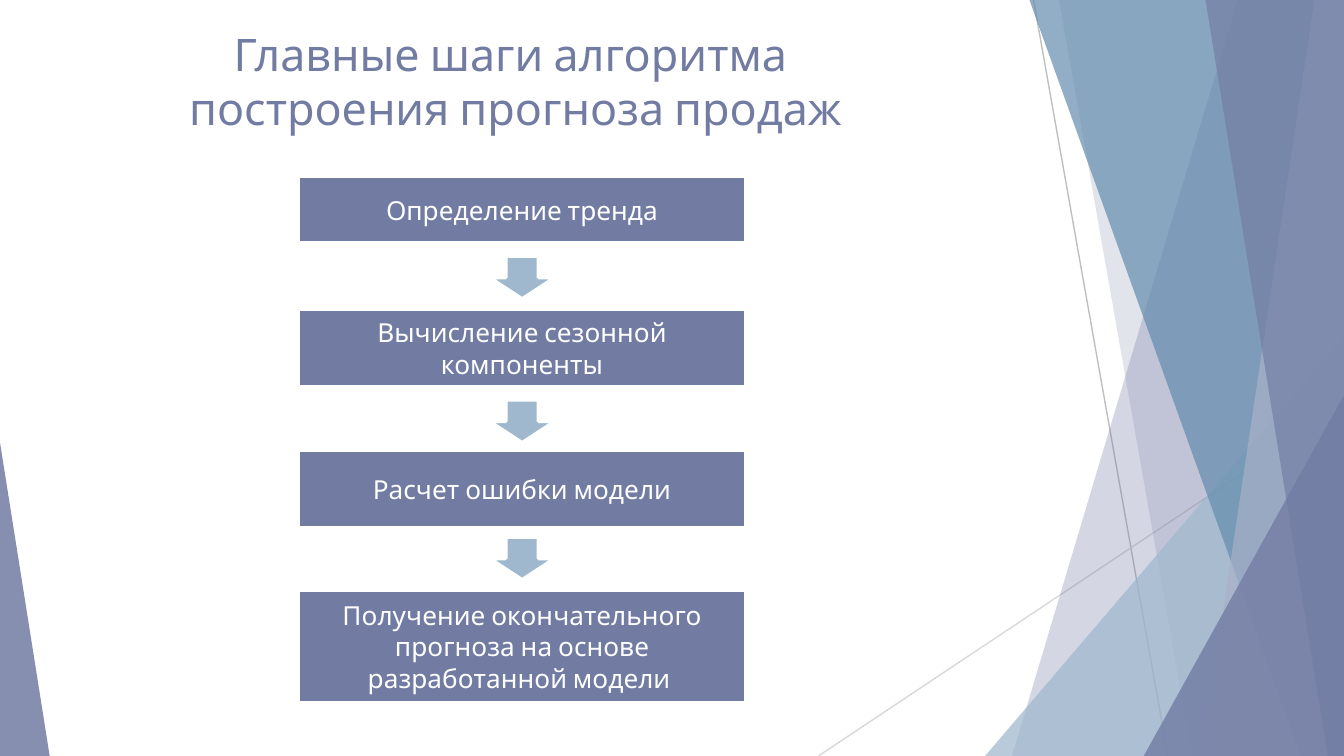
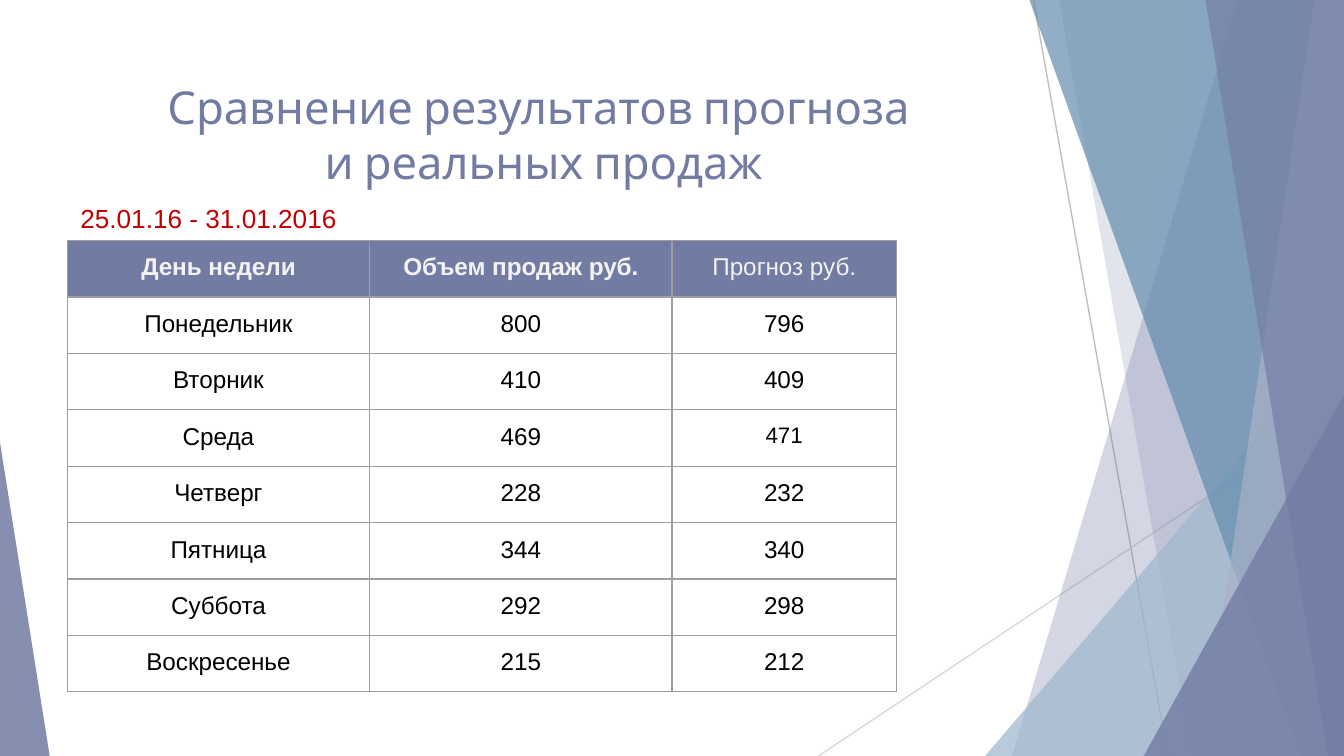
from lxml.etree import SubElement
from pptx import Presentation
from pptx.dml.color import RGBColor
from pptx.enum.shapes import MSO_CONNECTOR, MSO_SHAPE
from pptx.enum.text import MSO_ANCHOR, MSO_AUTO_SIZE, PP_ALIGN
from pptx.oxml import parse_xml
from pptx.oxml.ns import nsdecls, qn
from pptx.util import Pt

PX = 4572  # EMU in one px, 200 px to the inch
WIDTH, HEIGHT = 2000, 1125

INDIGO = "727CA3"
LIGHT_BLUE = "9FB8CD"
STEEL = "638CAE"
LAVENDER = "AAB0C8"
WHITE = "FFFFFF"
BLACK = "000000"
PALE = "F2F2F2"
RED = "C00000"
BORDER = "9E9E9E"

HEADING_FONT = "Cabin"
BODY_FONT = "Arial"


def rgb(color):
    return RGBColor.from_string(color)


def emu(*lengths):
    return [length * PX for length in lengths]


class Deck:
    """Holds the presentation, its style and the slide being drawn."""

    def __init__(self):
        self.presentation = Presentation()
        self.presentation.slide_width = WIDTH * PX
        self.presentation.slide_height = HEIGHT * PX
        self.slide = None

    def add_slide(self):
        layout = self.presentation.slide_layouts.get_by_name("Title Only")
        self.slide = self.presentation.slides.add_slide(layout)

    def set_text(self, frame, text, size, color, font=HEADING_FONT,
                 align=PP_ALIGN.CENTER, bold=False):
        frame.text = text
        frame.word_wrap = True
        for paragraph in frame.paragraphs:
            paragraph.alignment = align
            for run in paragraph.runs:
                run.font.name = font
                run.font.size = Pt(size)
                run.font.bold = bold
                run.font.color.rgb = rgb(color)

    def title(self, text, left, top, width, height, size=24, inset=10):
        shape = self.slide.shapes.title
        shape.left, shape.top, shape.width, shape.height = emu(left, top, width, height)
        frame = shape.text_frame
        frame.auto_size = MSO_AUTO_SIZE.NONE
        frame.vertical_anchor = MSO_ANCHOR.TOP
        frame.margin_top = frame.margin_bottom = inset * PX
        frame.margin_left = frame.margin_right = 20 * PX
        self.set_text(frame, text, size, INDIGO)

    def text(self, text, left, top, width, height, size, color):
        shape = self.slide.shapes.add_textbox(*emu(left, top, width, height))
        self.set_text(shape.text_frame, text, size, color, BODY_FONT, PP_ALIGN.LEFT)

    def paint(self, shape, color, opacity=100, outline=None):
        """Fill a shape, with an optional 2 pt outline."""
        shape.shadow.inherit = False
        shape.fill.solid()
        shape.fill.fore_color.rgb = rgb(color)
        if opacity < 100:
            fill_color = shape.element.spPr.find(qn("a:solidFill"))[0]
            SubElement(fill_color, qn("a:alpha")).set("val", str(opacity * 1000))
        if outline:
            shape.line.color.rgb = rgb(outline)
            shape.line.width = Pt(2)
        else:
            shape.line.fill.background()
        return shape

    def shape(self, kind, left, top, width, height, color, outline=WHITE):
        shape = self.slide.shapes.add_shape(kind, *emu(left, top, width, height))
        return self.paint(shape, color, outline=outline)

    def triangle(self, left, top, width, peak, color, opacity):
        """Right triangle standing on the bottom edge of the slide."""
        shape = self.slide.shapes.add_shape(
            MSO_SHAPE.ISOSCELES_TRIANGLE, *emu(left, top, width, HEIGHT - top))
        shape.adjustments[0] = peak
        return self.paint(shape, color, opacity)

    def band(self, top_x, bottom_x, color, opacity):
        """Area from a slanted left edge to the right edge of the slide."""
        builder = self.slide.shapes.build_freeform(top_x, 0, scale=PX)
        builder.add_line_segments(
            [(WIDTH, 0), (WIDTH, HEIGHT), (bottom_x, HEIGHT)], close=True)
        return self.paint(builder.convert_to_shape(), color, opacity)

    def line(self, start_x, start_y, end_x, end_y, color):
        connector = self.slide.shapes.add_connector(
            MSO_CONNECTOR.STRAIGHT, *emu(start_x, start_y, end_x, end_y))
        connector.line.color.rgb = rgb(color)
        connector.line.width = Pt(0.75)
        SubElement(connector.element.spPr, qn("a:effectLst"))
        return connector

    def move_to_master(self, shapes):
        """Group the shapes and place them behind everything on the master."""
        group = self.slide.shapes.add_group_shape(shapes).element
        for number, properties in enumerate(group.iter(qn("p:cNvPr")), 100):
            properties.set("id", str(number))
        self.presentation.slide_master.shapes.element.insert(2, group)

    def table(self, left, top, column_widths, row_height, rows):
        frame = self.slide.shapes.add_table(
            len(rows), len(column_widths),
            *emu(left, top, sum(column_widths), row_height * len(rows)))
        table = frame.table
        table.first_row = table.horz_banding = False
        for column, width in zip(table.columns, column_widths):
            column.width = width * PX
        for row, values in zip(table.rows, rows):
            row.height = row_height * PX
            for cell, value in zip(row.cells, values):
                cell.margin_left = cell.margin_right = 20 * PX
                cell.margin_top = cell.margin_bottom = 20 * PX
                self.set_text(cell.text_frame, value, 13, BLACK, BODY_FONT)
                cell.fill.background()
                self.cell_borders(cell)
        return table

    def cell_borders(self, cell):
        properties = cell._tc.get_or_add_tcPr()
        for index, side in enumerate(("lnL", "lnR", "lnT", "lnB")):
            properties.insert(index, parse_xml(
                f'<a:{side} {nsdecls("a")} w="9525"><a:solidFill>'
                f'<a:srgbClr val="{BORDER}"/></a:solidFill></a:{side}>'))


def draw_background(deck):
    deck.move_to_master([
        deck.line(1538, 0, 1738, HEIGHT, "BFBFBF"),
        deck.line(WIDTH, 604, 1218, HEIGHT, "D9D9D9"),
        deck.band(1842, 1506, INDIGO, 30),
        deck.band(1576, 1774, INDIGO, 20),
        deck.triangle(1466, 500, 534, 1, LIGHT_BLUE, 72),
        deck.band(1532, 1936, STEEL, 70),
        deck.band(1956, 1788, LAVENDER, 70),
        deck.band(1794, 1976, INDIGO, 65),
        deck.triangle(1702, 588, 298, 1, INDIGO, 80),
        deck.triangle(0, 658, 74, 0, INDIGO, 85),
    ])


def draw_algorithm(deck):
    deck.title("Главные шаги алгоритма \vпостроения прогноза продаж", 0, 30, 1534, 182)
    for top in (364, 578, 782):
        arrow = deck.shape(MSO_SHAPE.RIGHT_ARROW, 745, top, 64, 98, LIGHT_BLUE)
        arrow.rotation = 90
    steps = [
        (262, 100, "Определение тренда"),
        (460, 116, "Вычисление сезонной компоненты"),
        (670, 116, "Расчет ошибки модели"),
        (878, 168, "Получение окончательного прогноза на основе разработанной модели "),
    ]
    for top, height, text in steps:
        box = deck.shape(MSO_SHAPE.RECTANGLE, 444, top, 666, height, INDIGO)
        box.text_frame.vertical_anchor = MSO_ANCHOR.MIDDLE
        deck.set_text(box.text_frame, text, 14, WHITE)


def draw_comparison(deck):
    deck.title("Сравнение результатов прогноза \vи реальных продаж",
               68, 98, 1482, 182, size=24.3, inset=20)
    rows = [
        ("День недели", "Объем продаж руб.", "Прогноз руб."),
        ("Понедельник", "800", "796"),
        ("Вторник", "410", "409"),
        ("Среда", "469", "471"),
        ("Четверг", "228", "232"),
        ("Пятница", "344", "340"),
        ("Суббота", "292", "298"),
        ("Воскресенье", "215", "212"),
    ]
    table = deck.table(100, 358, (450, 450, 334), 84, rows)
    for column, heading in enumerate(rows[0]):
        cell = table.cell(0, column)
        cell.fill.solid()
        cell.fill.fore_color.rgb = rgb(INDIGO)
        deck.set_text(cell.text_frame, heading, 13, PALE, BODY_FONT, bold=column < 2)
    deck.set_text(table.cell(3, 2).text_frame, rows[3][2], 12, BLACK, BODY_FONT)
    deck.text("25.01.16 - 31.01.2016", 100, 292, 434, 68, 14, RED)


def main():
    deck = Deck()
    deck.add_slide()
    draw_background(deck)
    draw_algorithm(deck)
    deck.add_slide()
    draw_comparison(deck)
    deck.presentation.save("out.pptx")


if __name__ == "__main__":
    main()
